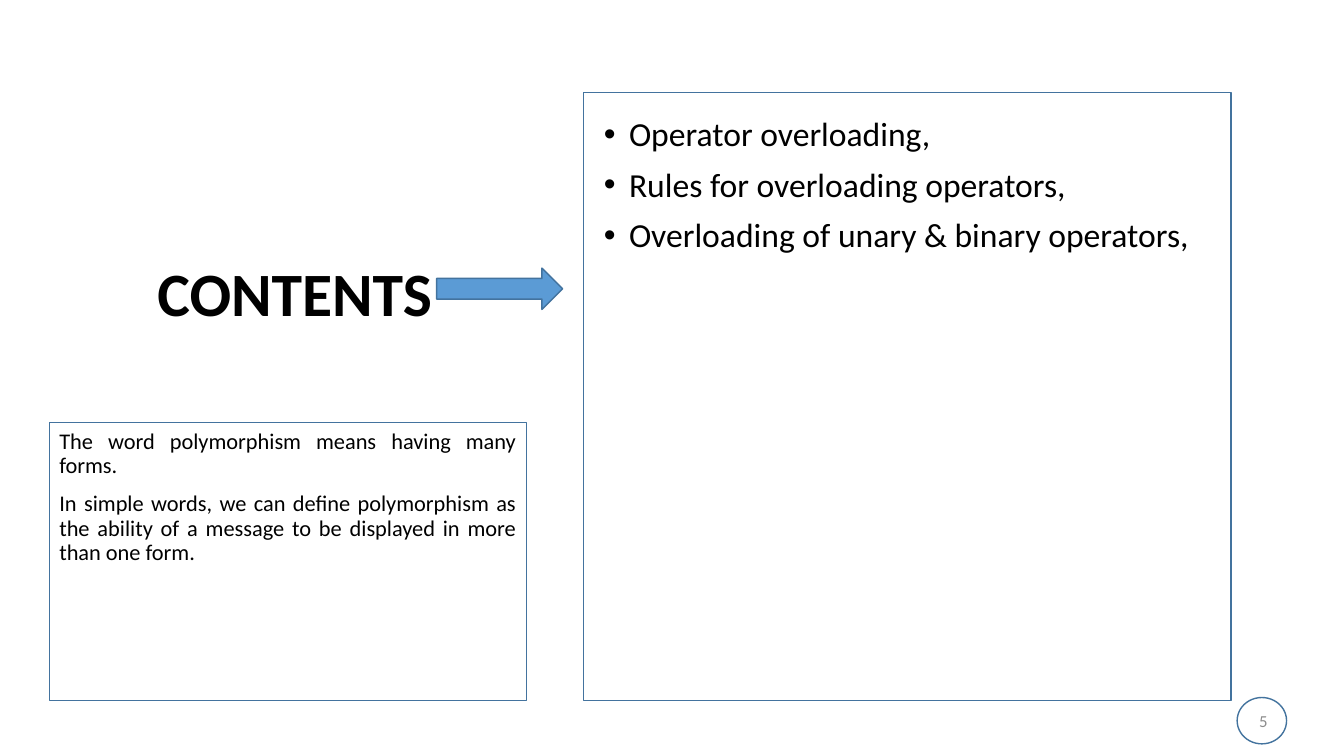
from lxml import etree
from pptx import Presentation
from pptx import util as u
from pptx.dml.color import RGBColor
from pptx.enum import shapes, text
from pptx.oxml import ns

Inches, Pt = u.Inches, u.Pt
BLACK = RGBColor(0x00, 0x00, 0x00)
GREY = RGBColor(0x8C, 0x8C, 0x8C)
BLUE = RGBColor(0x5B, 0x9B, 0xD5)
OUTLINE = RGBColor(0x43, 0x73, 0x9E)
FONT = "Calibri"

TOPICS = [
    "Operator overloading,",
    "Rules for overloading operators,",
    "Overloading of unary & binary operators,",
]
DEFINITION = [
    "The word polymorphism means having many forms.",
    "In simple words, we can define polymorphism as the ability of a message "
    "to be displayed in more than one form.",
]


def place(box, left, top, width, height):
    box.left, box.top = Inches(left), Inches(top)
    box.width, box.height = Inches(width), Inches(height)


def set_font(para, size, color=BLACK, bold=False):
    font = para.font
    font.name, font.size, font.bold = FONT, Pt(size), bold
    font.color.rgb = color


def add_bullet(para, indent=0.25):
    properties = para._p.get_or_add_pPr()
    properties.set("marL", str(Inches(indent)))
    properties.set("indent", str(-Inches(indent)))
    etree.SubElement(properties, ns.qn("a:buFont")).set("typeface", "Arial")
    etree.SubElement(properties, ns.qn("a:buChar")).set("char", "•")


def add_title(page, wording):
    title = page.shapes.title
    place(title, 0.49, 2.56, 4.87, 1.01)
    frame = title.text_frame
    frame.text = wording
    frame.auto_size = text.MSO_AUTO_SIZE.NONE
    frame.vertical_anchor = text.MSO_ANCHOR.TOP
    para = frame.paragraphs[0]
    para.alignment = text.PP_ALIGN.CENTER
    para.line_spacing = 0.9
    set_font(para, 44, bold=True)


def add_text(page, bounds, lines, size, align, color=BLACK, bulleted=False,
             anchor=text.MSO_ANCHOR.TOP, line_spacing=0.9, space_before=10):
    frame = page.shapes.add_textbox(*map(Inches, bounds)).text_frame
    frame.word_wrap = True
    frame.vertical_anchor = anchor
    for index, line in enumerate(lines):
        para = frame.add_paragraph() if index else frame.paragraphs[0]
        para.text = line
        para.alignment = align
        para.line_spacing = line_spacing
        para.space_before = Pt(space_before)
        if bulleted:
            add_bullet(para)
        set_font(para, size, color)


def add_outlined(page, kind, bounds, fill=None):
    shape = page.shapes.add_shape(kind, *map(Inches, bounds))
    shape.shadow.inherit = False
    shape.line.color.rgb = OUTLINE
    shape.line.width = Pt(1)
    if fill is None:
        shape.fill.background()
    else:
        shape.fill.solid()
        shape.fill.fore_color.rgb = fill


def main():
    deck = Presentation()
    deck.slide_width, deck.slide_height = Inches(13.33), Inches(7.5)
    page = deck.slides.add_slide(deck.slide_layouts[5])
    align, kinds = text.PP_ALIGN, shapes.MSO_SHAPE

    # Title and texts
    add_title(page, "CONTENTS")
    add_text(page, (5.89, 1.12, 6.32, 5.33), TOPICS, 24, align.LEFT, bulleted=True)
    add_text(page, (0.49, 4.22, 4.73, 2.87), DEFINITION, 16, align.JUSTIFY)

    # Slide number
    add_text(page, (9.67, 6.95, 3, 0.4), ["5"], 12, align.RIGHT, GREY,
             anchor=text.MSO_ANCHOR.MIDDLE, line_spacing=1, space_before=0)

    # Frames around the texts and the number
    add_outlined(page, kinds.RECTANGLE, (5.79, 0.92, 6.42, 6.03))
    add_outlined(page, kinds.RECTANGLE, (0.49, 4.19, 4.73, 2.76))
    add_outlined(page, kinds.OVAL, (12.27, 6.92, 0.49, 0.46))

    # Arrow from the title to the topics
    add_outlined(page, kinds.RIGHT_ARROW, (4.33, 2.66, 1.25, 0.41), BLUE)

    deck.save("out.pptx")


if __name__ == "__main__":
    main()
